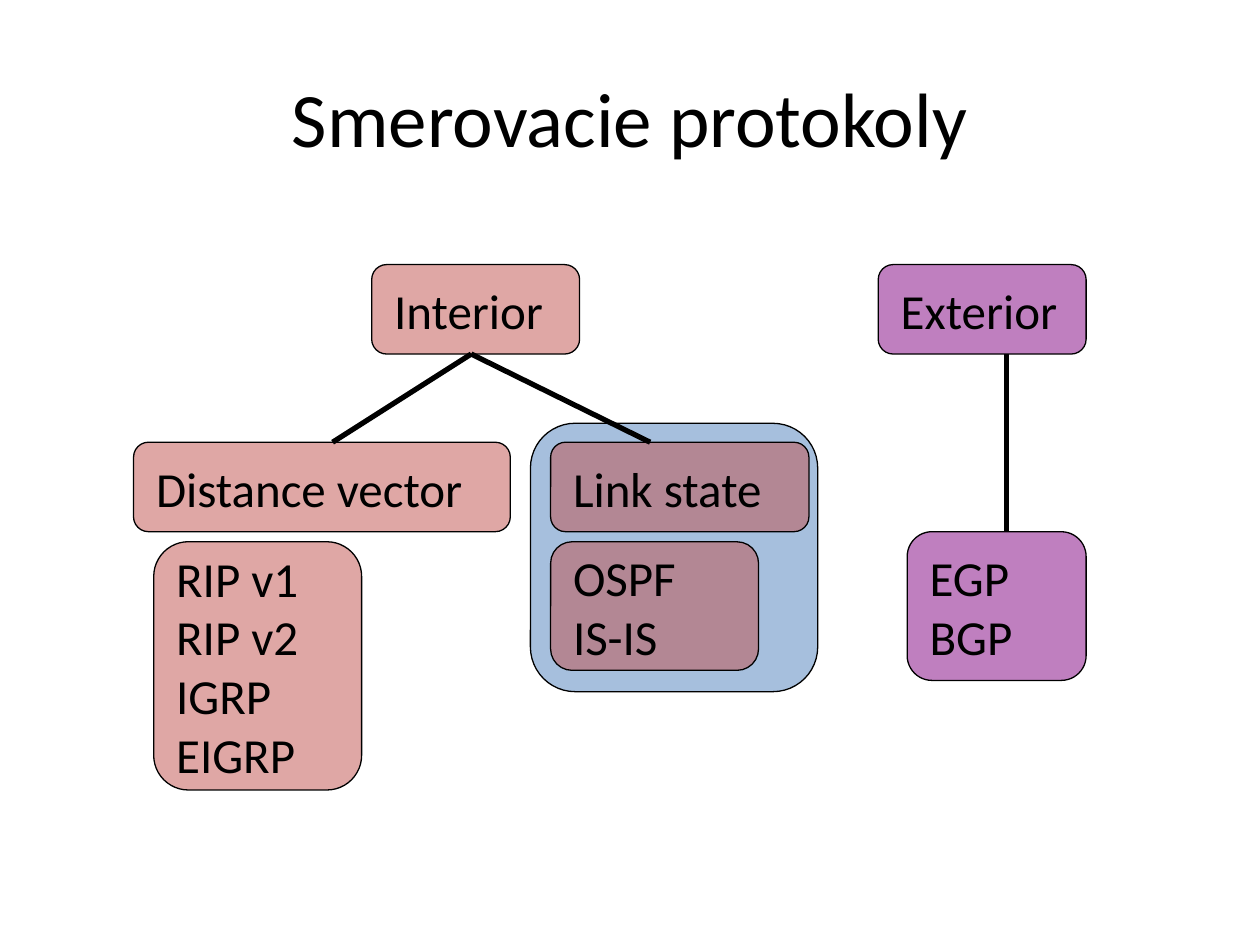
from dataclasses import dataclass

from lxml.etree import SubElement
from pptx import Presentation
from pptx.dml.color import RGBColor
from pptx.enum.shapes import MSO_CONNECTOR, MSO_SHAPE
from pptx.enum.text import MSO_ANCHOR, PP_ALIGN
from pptx.oxml.ns import qn
from pptx.util import Inches, Pt

FONT = "Calibri"
COLORS = {"ink": "000000", "blue": "4F81BD", "red": "C0504D", "purple": "800080"}


@dataclass
class Box:
    left: float
    top: float
    width: float
    height: float
    color: str


@dataclass
class Label:
    left: float
    top: float
    width: float
    text: str


@dataclass
class Link:
    start: tuple[float, float]
    end: tuple[float, float]


# Rows of the tree
ROOT, KIND, LIST = 2.1, 3.51, 4.3
ROW = 0.71
PAD = 0.08
LINE = 0.47

BOXES = [
    Box(4.21, 3.36, 2.28, 2.13, "blue"),
    Box(1.22, LIST, 1.65, 1.97, "red"),
    Box(4.37, LIST, 1.65, 1.02, "red"),
    Box(7.2, 4.22, 1.42, 1.18, "purple"),
    Box(4.37, KIND, 2.05, ROW, "red"),
    Box(1.06, KIND, 2.99, ROW, "red"),
    Box(6.97, ROOT, 1.65, ROW, "purple"),
    Box(2.95, ROOT, 1.65, ROW, "red"),
]

LABELS = [
    Label(3.03, ROOT + PAD, 2.2, "Interior"),
    Label(7.05, ROOT + PAD, 2.2, "Exterior"),
    Label(1.14, KIND + PAD, 3.23, "Distance vector"),
    Label(4.45, KIND + PAD, 2.2, "Link state"),
    Label(1.3, LIST, 1.5, "RIP v1\nRIP v2\nIGRP\nEIGRP"),
    Label(4.45, LIST, 2.2, "OSPF\nIS-IS"),
    Label(7.28, LIST, 2.2, "EGP\nBGP"),
]

FORK = (3.74, ROOT + ROW)
LINKS = [
    Link((7.99, ROOT + ROW), (7.99, 4.22)),
    Link(FORK, (2.64, KIND)),
    Link(FORK, (5.16, KIND)),
]


def color(name: str) -> RGBColor:
    return RGBColor.from_string(COLORS[name])


def style(para, size: float) -> None:
    para.font.name = FONT
    para.font.size = Pt(size)
    para.font.color.rgb = color("ink")


def add_box(slide, box: Box) -> None:
    shape = slide.shapes.add_shape(
        MSO_SHAPE.ROUNDED_RECTANGLE, Inches(box.left), Inches(box.top),
        Inches(box.width), Inches(box.height))
    shape.shadow.inherit = False
    shape.fill.solid()
    shape.fill.fore_color.rgb = color(box.color)
    # Half-transparent fill
    tint = shape.fill._xPr.find(qn("a:solidFill"))[0]
    SubElement(tint, qn("a:alpha")).set("val", "50000")
    shape.line.color.rgb = color("ink")
    shape.line.width = Pt(0.75)


def add_label(slide, label: Label) -> None:
    count = label.text.count("\n") + 1
    frame = slide.shapes.add_textbox(
        Inches(label.left), Inches(label.top), Inches(label.width),
        Inches(0.1 + LINE * count)).text_frame
    frame.word_wrap = True
    para = frame.paragraphs[0]
    para.text = label.text
    style(para, 28)


def add_link(slide, link: Link) -> None:
    line = slide.shapes.add_connector(
        MSO_CONNECTOR.STRAIGHT, *map(Inches, link.start + link.end))
    line.line.color.rgb = color("ink")
    line.line.width = Pt(3)
    SubElement(line._element.spPr, qn("a:effectLst"))


def add_title(slide, text: str) -> None:
    title = slide.shapes.title
    title.left, title.top = Inches(0.5), Inches(0.3)
    title.width, title.height = Inches(9), Inches(1.25)
    title.text_frame.vertical_anchor = MSO_ANCHOR.MIDDLE
    para = title.text_frame.paragraphs[0]
    para.text = text
    para.alignment = PP_ALIGN.CENTER
    style(para, 44)


def main() -> None:
    deck = Presentation()
    deck.slide_width, deck.slide_height = Inches(10), Inches(7.5)
    slide = deck.slides.add_slide(deck.slide_layouts[5])
    add_title(slide, "Smerovacie protokoly")
    for box in BOXES:
        add_box(slide, box)
    for label in LABELS:
        add_label(slide, label)
    for link in LINKS:
        add_link(slide, link)
    deck.save("out.pptx")


if __name__ == "__main__":
    main()
